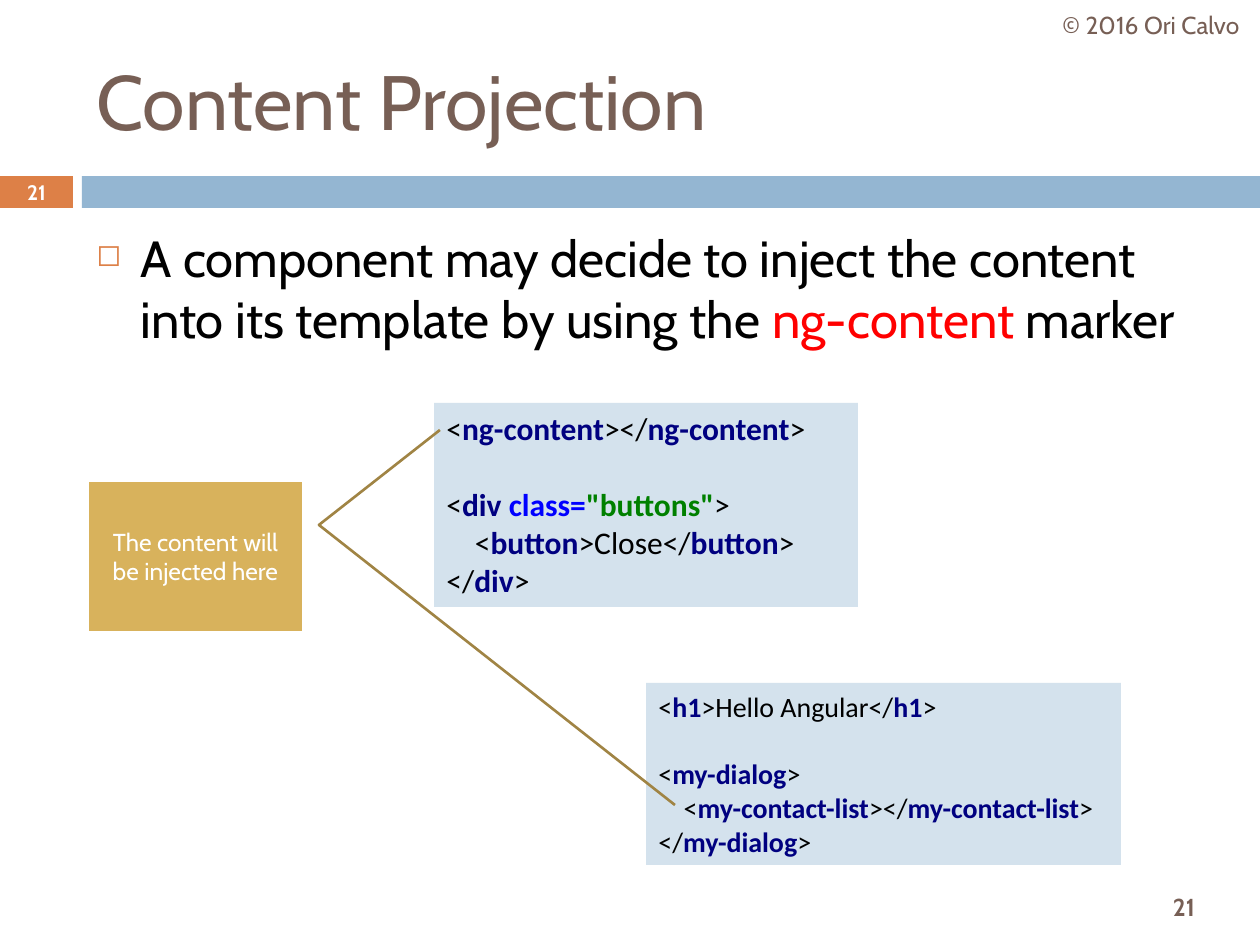
from lxml import etree
from pptx import Presentation
from pptx.dml.color import RGBColor
from pptx.enum.shapes import MSO_SHAPE
from pptx.enum.text import MSO_ANCHOR as ANCHOR, PP_ALIGN as ALIGN
from pptx.oxml.ns import qn
from pptx.util import Emu, Pt

SCALE = 914400 / 126
BROWN, WHITE, BLACK = "775F55", "FFFFFF", "000000"
ORANGE, BLUE, PALE, GOLD, DARK_GOLD = "DD8047", "94B6D2", "D4E2ED", "D8B25C", "A08444"
CODE_COLORS = {"plain": BLACK, "tag": "000080", "attr": "0000FF", "value": "008000"}

DIALOG_CODE = [
    [("<", "plain"), ("ng-content", "tag"), ("></", "plain"), ("ng-content", "tag"), (">", "plain")],
    [],
    [("<", "plain"), ("div ", "tag"), ("class=", "attr"), ('"buttons"', "value"), (">", "plain")],
    [("    <", "plain"), ("button", "tag"), (">Close</", "plain"), ("button", "tag"), (">", "plain")],
    [("</", "plain"), ("div", "tag"), (">", "plain")],
]
APP_CODE = [
    [("<", "plain"), ("h1", "tag"), (">Hello Angular</", "plain"), ("h1", "tag"), (">", "plain")],
    [],
    [("<", "plain"), ("my-dialog", "tag"), (">", "plain")],
    [("    <", "plain"), ("my-contact-list", "tag"), ("></", "plain"),
     ("my-contact-list", "tag"), (">", "plain")],
    [("</", "plain"), ("my-dialog", "tag"), (">", "plain")],
]


def px(n):
    """Turn pixels into EMU."""
    return Emu(round(n * SCALE))


def rgb(value):
    """Turn a hex string into a colour."""
    return RGBColor.from_string(value)


def add_run(p, text, size, color, bold=False, font="Cabin"):
    """Append a formatted run to a paragraph."""
    r = p.add_run()
    r.text = text
    r.font.name, r.font.size, r.font.bold = font, Pt(size), bold
    r.font.color.rgb = rgb(color)


def add_block(s, box, fill, shape=MSO_SHAPE.RECTANGLE):
    """Add a flat filled shape without an outline."""
    sp = s.shapes.add_shape(shape, *map(px, box))
    sp.shadow.inherit = False
    sp.fill.solid()
    sp.fill.fore_color.rgb = rgb(fill)
    sp.line.fill.background()
    sp.text_frame.word_wrap = True
    return sp


def add_text(s, box, runs, size, align=ALIGN.CENTER, anchor=ANCHOR.MIDDLE, bold=False):
    """Add a wrapped text box and return its paragraph."""
    tf = s.shapes.add_textbox(*map(px, box)).text_frame
    tf.word_wrap = True
    tf.vertical_anchor = anchor
    p = tf.paragraphs[0]
    p.alignment = align
    for text, color in runs:
        add_run(p, text, size, color, bold)
    return p


def add_header(s, box, title, number):
    """Add the copyright line, title and numbered band."""
    x, y, w, h = box
    add_block(s, (x, y + h - 32, 73, 32), ORANGE)
    add_block(s, (x + 82, y + h - 32, w - 82, 32), BLUE)
    add_text(s, (x, y + h - 33, 73, 34), [(number, WHITE)], 12, bold=True)
    add_text(s, (x + 84, y + 32, 1124, 136), [(title, BROWN)], 44, ALIGN.LEFT)
    add_text(s, (x + w - 218, y, 218, 50), [("© 2016 Ori Calvo", BROWN)], 14)


def add_bullet(s, box, runs):
    """Add a paragraph with a hollow square bullet."""
    p = add_text(s, box, runs, 29, ALIGN.LEFT, ANCHOR.TOP)
    pPr = p._p.get_or_add_pPr()
    pPr.set("marL", str(px(44)))
    pPr.set("indent", str(-px(44)))
    color = etree.SubElement(pPr, qn("a:buClr"))
    etree.SubElement(color, qn("a:srgbClr")).set("val", ORANGE)
    etree.SubElement(pPr, qn("a:buSzPct")).set("val", "60000")
    etree.SubElement(pPr, qn("a:buChar")).set("char", "◻")


def add_code(s, box, lines, size):
    """Add a code panel, with an empty line shown as space before the next."""
    tf = add_block(s, box, PALE).text_frame
    tf.vertical_anchor = ANCHOR.TOP
    p, gap = tf.paragraphs[0], 0
    for i, line in enumerate(lines):
        if not line:
            gap = size * 1.22
            continue
        if i:
            p = tf.add_paragraph()
        p.alignment = ALIGN.LEFT
        p.space_before, gap = Pt(gap), 0
        for text, kind in line:
            add_run(p, text, size, CODE_COLORS[kind], kind != "plain", "Calibri")


def add_callout(s, box, text, points):
    """Add a callout whose leader passes through points relative to its box."""
    sp = add_block(s, box, GOLD, MSO_SHAPE.LINE_CALLOUT_2_NO_BORDER)
    sp.line.color.rgb = rgb(DARK_GOLD)
    sp.line.width = Pt(1.5)
    for i, (x, y) in enumerate(points):
        sp.adjustments[2 * i] = y / box[3]
        sp.adjustments[2 * i + 1] = x / box[2]
    tf = sp.text_frame
    tf.vertical_anchor = ANCHOR.MIDDLE
    tf.paragraphs[0].alignment = ALIGN.CENTER
    add_run(tf.paragraphs[0], text, 14, WHITE)


def main():
    """Build the slide and save it."""
    prs = Presentation()
    prs.slide_width, prs.slide_height = px(1260), px(945)
    s = prs.slides.add_slide(prs.slide_layouts[6])
    add_header(s, (0, 0, 1260, 208), "Content Projection", "21")
    add_text(s, (1126, 880, 116, 53), [("21", BROWN)], 14, bold=True)
    add_bullet(s, (84, 221, 1124, 620), [
        ("A component may decide to inject the content into its template by using the ", BLACK),
        ("ng-content", "FF0000"),
        (" marker", BLACK),
    ])
    add_code(s, (434, 403, 424, 204), DIALOG_CODE, 18)
    add_code(s, (646, 683, 475, 182), APP_CODE, 16)
    add_callout(s, (89, 482, 213, 149), "The content will be injected here",
                [(586, 323), (230, 43), (351, -52)])
    prs.save("out.pptx")


if __name__ == "__main__":
    main()
